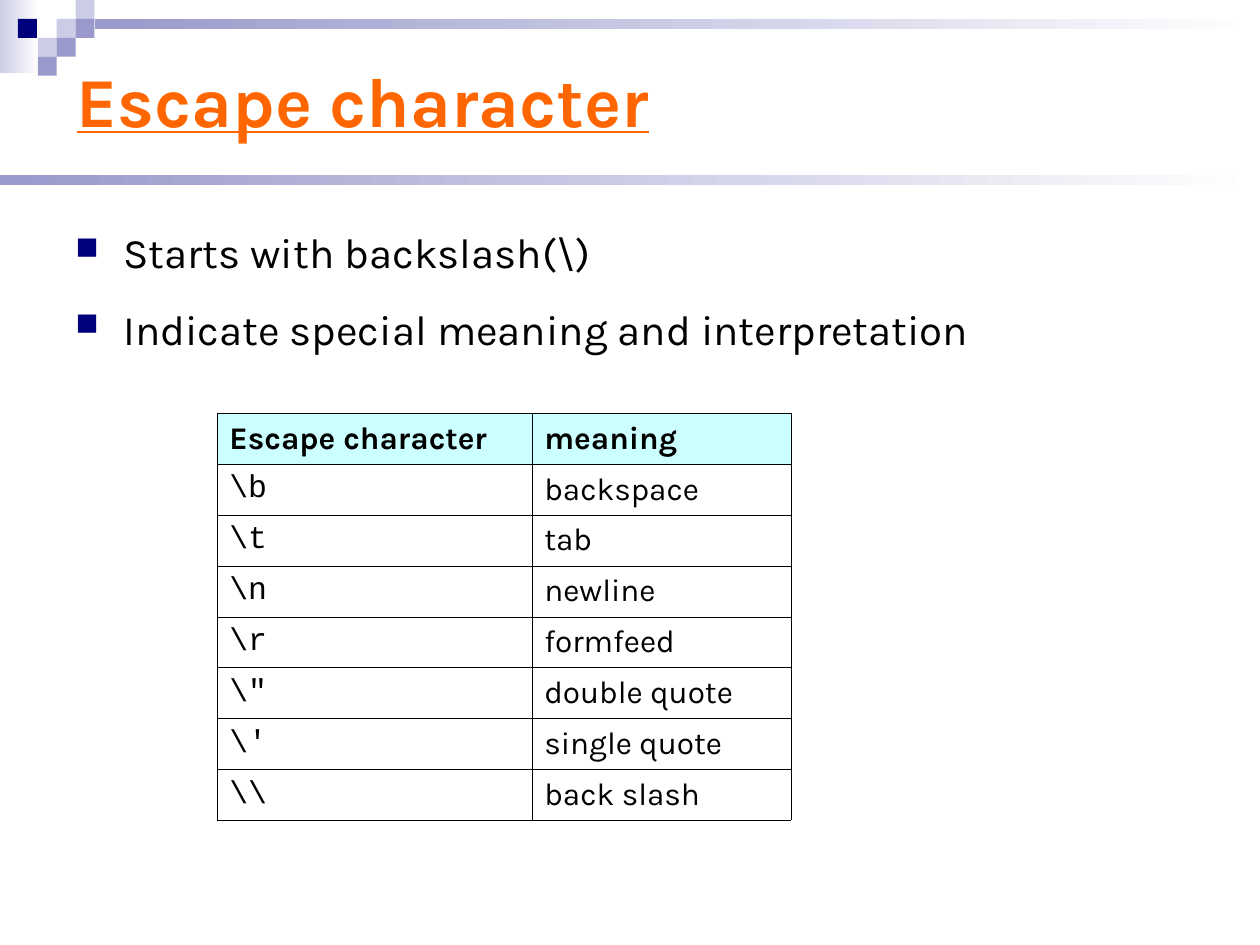
from lxml.etree import SubElement
from pptx import Presentation
from pptx.dml.color import RGBColor
from pptx.enum.shapes import MSO_SHAPE as Shape
from pptx.enum.text import MSO_ANCHOR as Anchor, PP_ALIGN as Align
from pptx.oxml.ns import qn
from pptx.util import Inches, Pt

WIDTH, HEIGHT = 10, 7.5
FONT, CODE_FONT = "Karla", "Courier New"
BLACK, WHITE, NAVY, ORANGE, CYAN = "000000", "FFFFFF", "00007D", "FF6600", "CCFFFF"
PALE, LILAC = "CCCCE6", "9999CC"

TITLE = "Escape character"
BULLETS = ["Starts with backslash(\\)", "Indicate special meaning and interpretation"]
ROWS = [
    ("Escape character", "meaning"),
    (r"\b", "backspace"),
    (r"\t", "tab"),
    (r"\n", "newline"),
    (r"\r", "formfeed"),
    (r'\"', "double quote"),
    (r"\'", "single quote"),
    (r"\\", "back slash"),
]
TABLE_LEFT, TABLE_TOP, TABLE_HEIGHT = 1.72, 3.28, 3.23
COLUMN_WIDTHS = (2.5, 2.06)
BORDER = Pt(0.06)

FADES = [
    (0, 0, 0.31, 0.58, PALE),
    (0.75, 0.15, WIDTH - 0.75, 0.08, LILAC),
    (0, 1.39, WIDTH, 0.08, LILAC),
]
TILE = 0.15
TILES = [
    (3, 1, PALE), (4, 0, PALE), (4, 1, LILAC), (2, 2, PALE),
    (0.95, 1, NAVY), (3, 2, LILAC), (2, 3, LILAC),
]


def color(value):
    """Turn a hex string into a colour."""
    return RGBColor.from_string(value)


def add_block(slide, left, top, width, height, start, end=None):
    """Draw a plain rectangle, fading to the right if an end colour is given."""
    block = slide.shapes.add_shape(
        Shape.RECTANGLE, Inches(left), Inches(top), Inches(width), Inches(height))
    block.shadow.inherit = False
    block.line.fill.background()
    if end is None:
        block.fill.solid()
        block.fill.fore_color.rgb = color(start)
        return
    block.fill.gradient()
    block.fill.gradient_angle = 0
    for stop, value in zip(block.fill.gradient_stops, (start, end)):
        stop.color.rgb = color(value)


def add_text(para, text, size, font=FONT, value=BLACK, bold=False, underline=False):
    """Add one styled run to a paragraph."""
    span = para.add_run()
    span.text = text
    span.font.name, span.font.size = font, Pt(size)
    span.font.bold, span.font.underline = bold, underline
    span.font.color.rgb = color(value)


def add_box(slide, left, top, width, height, anchor):
    """Add a wrapping text box and return its frame."""
    frame = slide.shapes.add_textbox(
        Inches(left), Inches(top), Inches(width), Inches(height)).text_frame
    frame.word_wrap = True
    frame.vertical_anchor = anchor
    return frame


def add_bullet(para):
    """Give a paragraph a small navy square and a hanging indent."""
    props = para._p.get_or_add_pPr()
    props.set("marL", str(Inches(0.38)))
    props.set("indent", str(-Inches(0.38)))
    SubElement(SubElement(props, qn("a:buClr")), qn("a:srgbClr"), val=NAVY)
    SubElement(props, qn("a:buSzPct"), val="75000")
    SubElement(props, qn("a:buChar"), char="■")


def add_borders(cell):
    """Draw a thin black line on each side of a cell."""
    props = cell._tc.get_or_add_tcPr()
    for side in ("lnL", "lnR", "lnT", "lnB"):
        line = SubElement(props, qn(f"a:{side}"), w=str(BORDER))
        SubElement(SubElement(line, qn("a:solidFill")), qn("a:srgbClr"), val=BLACK)


def add_escape_table(slide):
    """Add the table of escape characters and their meanings."""
    table = slide.shapes.add_table(
        len(ROWS), len(COLUMN_WIDTHS), Inches(TABLE_LEFT), Inches(TABLE_TOP),
        Inches(sum(COLUMN_WIDTHS)), Inches(TABLE_HEIGHT)).table
    table.first_row = table.horz_banding = False
    for column, width in zip(table.columns, COLUMN_WIDTHS):
        column.width = Inches(width)
    for r, row in enumerate(ROWS):
        header = r == 0
        for c, text in enumerate(row):
            cell = table.cell(r, c)
            cell.vertical_anchor = Anchor.MIDDLE
            add_borders(cell)
            if header:
                cell.fill.solid()
                cell.fill.fore_color.rgb = color(CYAN)
            else:
                cell.fill.background()
            para = cell.text_frame.paragraphs[0]
            para.alignment = Align.JUSTIFY
            font = CODE_FONT if c == 0 and not header else FONT
            add_text(para, text, 18, font, bold=header)


def main():
    """Build the slide and save it."""
    deck = Presentation()
    deck.slide_width, deck.slide_height = Inches(WIDTH), Inches(HEIGHT)
    page = deck.slides.add_slide(deck.slide_layouts[6])
    for left, top, width, height, start in FADES:
        add_block(page, left, top, width, height, start, WHITE)
    for column, row, value in TILES:
        add_block(page, column * TILE, row * TILE, TILE, TILE, value)

    title = add_box(page, 0.51, 0.28, 9, 1.02, Anchor.MIDDLE)
    add_text(title.paragraphs[0], TITLE, 40, value=ORANGE, bold=True, underline=True)

    body = add_box(page, 0.5, 1.75, 9.19, 4.95, Anchor.TOP)
    for index, text in enumerate(BULLETS):
        para = body.add_paragraph() if index else body.paragraphs[0]
        add_bullet(para)
        if index:
            para.space_before = Pt(15)
        add_text(para, text, 24)

    add_escape_table(page)
    deck.save("out.pptx")


if __name__ == "__main__":
    main()
